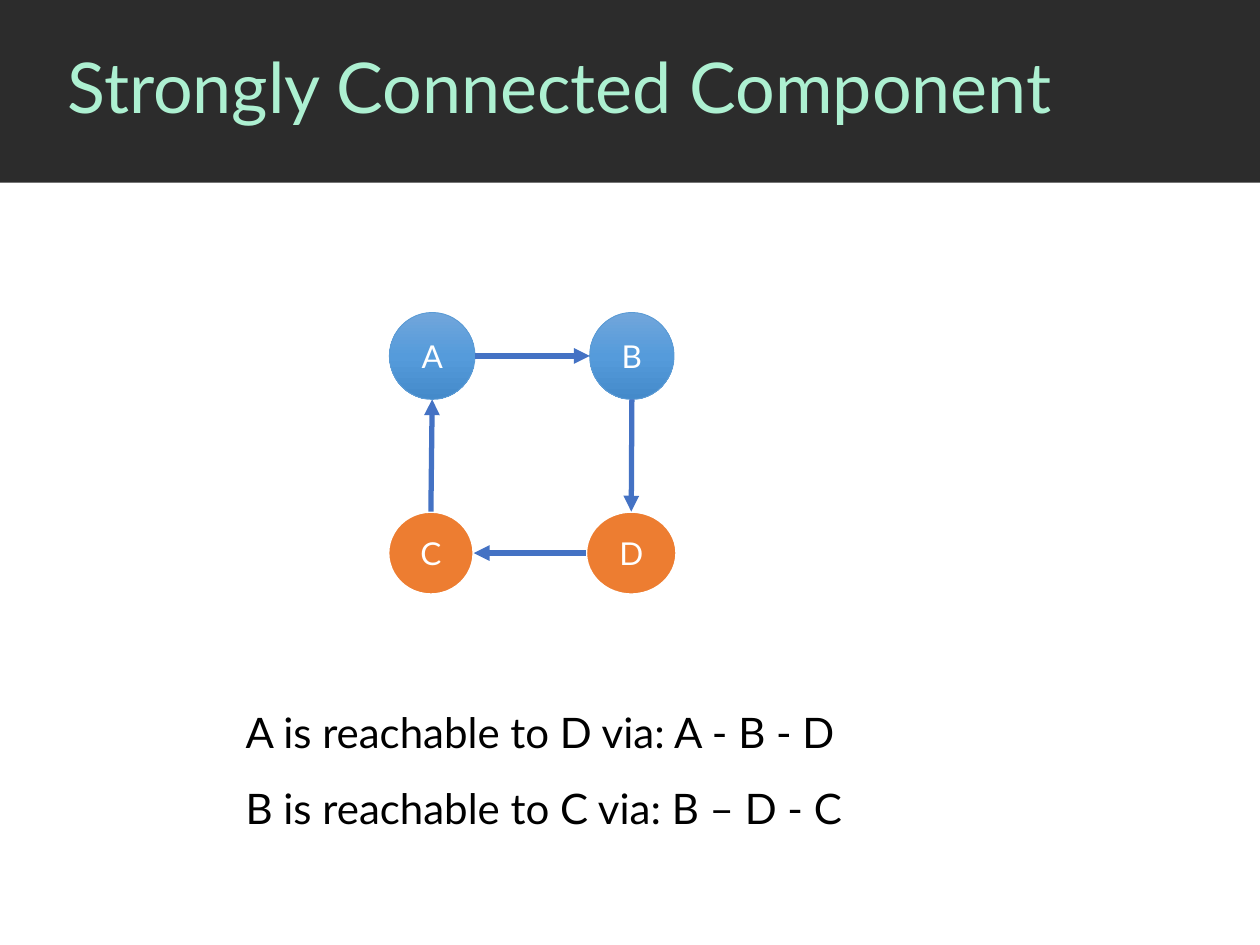
"""Build a slide that shows a strongly connected component as a cycle of four nodes."""
from copy import deepcopy

from pptx import Presentation
from pptx.dml.color import RGBColor
from pptx.enum import shapes, text
from pptx.oxml import ns, xmlchemy
from pptx.util import Inches, Pt

DARK = RGBColor(0x2C, 0x2C, 0x2C)
MINT = RGBColor(0xAD, 0xF0, 0xD1)
WHITE = RGBColor(0xFF, 0xFF, 0xFF)
BLACK = RGBColor(0, 0, 0)
ORANGE = RGBColor(0xED, 0x7D, 0x31)
BLUE_EDGE = RGBColor(0x5B, 0x9B, 0xD5)
ARROW_BLUE = RGBColor(0x44, 0x72, 0xC4)
BLUE_STOPS = [
    (0, RGBColor(0x71, 0xA6, 0xDB)),
    (0.5, RGBColor(0x55, 0x9B, 0xDB)),
    (1, RGBColor(0x44, 0x8A, 0xCA)),
]

TITLE = "Strongly Connected Component"
PATHS = ["A is reachable to D via: A - B - D", "B is reachable to C via: B – D - C"]
NODES = {
    "D": (4.65, 4.06, 0.72, 0.66),
    "B": (4.68, 2.48, 0.67, 0.69),
    "C": (3.08, 4.06, 0.68, 0.66),
    "A": (3.09, 2.48, 0.68, 0.69),
}
BLUE_NODES = "AB"
EDGES = ["AB", "CA", "DC", "BD"]


def write(shape, lines, frame_format, para_format, font_format):
    frame = shape.text_frame
    frame.text = "\n".join(lines)
    for name, value in frame_format.items():
        setattr(frame, name, value)
    for para in frame.paragraphs:
        for name, value in para_format.items():
            setattr(para, name, value)
        for span in para.runs:
            span.font.name = "Lato"
            span.font.color.rgb = font_format["color"]
            span.font.size = Pt(font_format["size"])


def add_plain_shape(page, kind, place):
    shape = page.shapes.add_shape(kind, *map(Inches, place))
    shape.shadow.inherit = False
    return shape


def fill_gradient(shape):
    shape.fill.gradient()
    shape.fill.gradient_angle = 270
    stop_list = shape.element.spPr.find(".//" + ns.qn("a:gsLst"))
    stop_list.insert(1, deepcopy(stop_list[0]))
    for stop, (position, color) in zip(shape.fill.gradient_stops, BLUE_STOPS):
        stop.position = position
        stop.color.rgb = color


def add_node(page, label):
    node = add_plain_shape(page, shapes.MSO_SHAPE.OVAL, NODES[label])
    if label in BLUE_NODES:
        fill_gradient(node)
        edge, width = BLUE_EDGE, 0.5
    else:
        node.fill.solid()
        node.fill.fore_color.rgb = ORANGE
        edge, width = WHITE, 1.5
    node.line.color.rgb = edge
    node.line.width = Pt(width)
    write(node, [label], {"vertical_anchor": text.MSO_ANCHOR.MIDDLE},
          {"alignment": text.PP_ALIGN.CENTER}, {"size": 18, "color": WHITE})


def rim_point(label, toward):
    left, top, width, height = NODES[label]
    other_left, other_top = NODES[toward][:2]
    x, y = left + width / 2, top + height / 2
    across, down = other_left - left, other_top - top
    if abs(across) > abs(down):
        x += width / 2 if across > 0 else -width / 2
    else:
        y += height / 2 if down > 0 else -height / 2
    return Inches(x), Inches(y)


def add_arrow(page, start, end):
    arrow = page.shapes.add_connector(
        shapes.MSO_CONNECTOR.STRAIGHT, *rim_point(start, end), *rim_point(end, start))
    arrow.line.color.rgb = ARROW_BLUE
    arrow.line.width = Pt(3)
    head = xmlchemy.OxmlElement("a:tailEnd")
    head.set("type", "triangle")
    arrow.line._get_or_add_ln().append(head)
    arrow._element.spPr.append(xmlchemy.OxmlElement("a:effectLst"))


def main():
    deck = Presentation()
    deck.slide_width, deck.slide_height = Inches(10), Inches(7.5)
    page = deck.slides.add_slide(deck.slide_layouts[6])

    band = add_plain_shape(page, shapes.MSO_SHAPE.RECTANGLE, (0, 0, 10, 1.45))
    band.fill.solid()
    band.fill.fore_color.rgb = DARK
    band.line.fill.background()

    title = page.shapes.add_textbox(*map(Inches, (0.44, 0, 9.56, 1.44)))
    write(title, [TITLE], {"word_wrap": True, "vertical_anchor": text.MSO_ANCHOR.MIDDLE},
          {"line_spacing": 0.9}, {"size": 40, "color": MINT})

    for label in NODES:
        add_node(page, label)
    for start, end in EDGES:
        add_arrow(page, start, end)

    box = page.shapes.add_textbox(*map(Inches, (1.85, 5.36, 5.22, 1.23)))
    write(box, PATHS, {"word_wrap": True, "auto_size": text.MSO_AUTO_SIZE.SHAPE_TO_FIT_TEXT},
          {"line_spacing": 1.5}, {"size": 24, "color": BLACK})

    deck.save("out.pptx")


if __name__ == "__main__":
    main()
